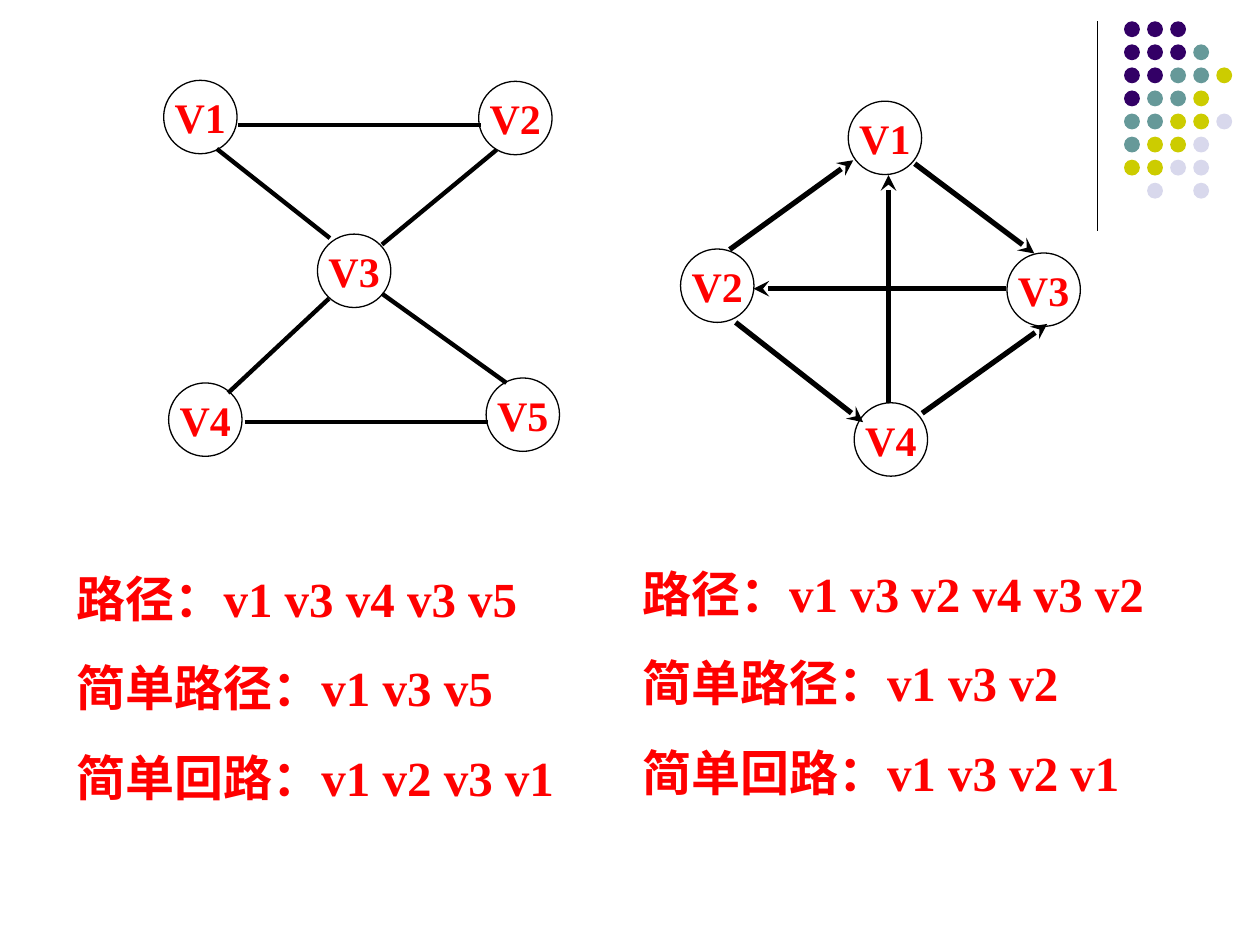
from lxml import etree
from pptx import Presentation
from pptx.dml.color import RGBColor
from pptx.enum import shapes, text
from pptx.oxml import ns
from pptx.util import Cm, Pt

COLORS = {
    "ink": "000000",
    "label": "FF0000",
    "P": "330066",
    "T": "669999",
    "Y": "CCCC00",
    "L": "D8D8EC",
}
FONT = "Times New Roman"


def style_text(para, size):
    para.font.name = FONT
    para.font.size = Pt(size)
    para.font.bold = True
    para.font.color.rgb = RGBColor.from_string(COLORS["label"])


def add_line(page, ends, width, arrow=False):
    line = page.shapes.add_connector(
        shapes.MSO_CONNECTOR.STRAIGHT, *(Cm(value) for value in ends)
    )
    line.line.width = Pt(width)
    line.line.color.rgb = RGBColor.from_string(COLORS["ink"])
    if arrow:
        outline = line.line._get_or_add_ln()
        etree.SubElement(outline, ns.qn("a:tailEnd"), type="stealth")
    etree.SubElement(line._element.spPr, ns.qn("a:effectLst"))


deck = Presentation()
deck.slide_width, deck.slide_height = Cm(25.4), Cm(19.05)
page = deck.slides.add_slide(deck.slide_layouts[6])

# Corner decoration: a rule and a grid of dots, one letter per colour
add_line(page, (22.12, 0.43, 22.12, 4.65), 0.75)
dot_rows = ["PPP", "PPPT", "PPTTY", "PTTY", "TTYYL", "TYYL", "YYLL", " L L"]
dot_size, dot_pitch = Cm(0.32), 0.465
for row, codes in enumerate(dot_rows):
    for column, code in enumerate(codes):
        if code == " ":
            continue
        dot = page.shapes.add_shape(
            shapes.MSO_SHAPE.OVAL,
            Cm(22.66 + column * dot_pitch), Cm(0.43 + row * dot_pitch),
            dot_size, dot_size,
        )
        dot.shadow.inherit = False
        dot.fill.solid()
        dot.fill.fore_color.rgb = RGBColor.from_string(COLORS[code])
        dot.line.fill.background()

# Vertices of the undirected graph, then of the directed graph
vertices = [
    ("V1", 3.3, 1.62), ("V2", 9.65, 1.64), ("V3", 6.4, 4.72),
    ("V4", 3.4, 7.72), ("V5", 9.8, 7.62),
    ("V1", 17.1, 2.04), ("V2", 13.72, 5.02),
    ("V3", 20.3, 5.1), ("V4", 17.22, 8.12),
]
for name, left, top in vertices:
    vertex = page.shapes.add_shape(
        shapes.MSO_SHAPE.FLOWCHART_CONNECTOR, Cm(left), Cm(top), Cm(1.48), Cm(1.48)
    )
    vertex.shadow.inherit = False
    vertex.fill.background()
    vertex.line.width = Pt(0.75)
    vertex.line.color.rgb = RGBColor.from_string(COLORS["ink"])
    frame = vertex.text_frame
    frame.word_wrap = False
    frame.vertical_anchor = text.MSO_ANCHOR.MIDDLE
    para = frame.paragraphs[0]
    para.text = name
    para.alignment = text.PP_ALIGN.CENTER
    style_text(para, 24)

edges = [
    (4.8, 2.52, 9.7, 2.52),      # V1 - V2
    (4.93, 8.51, 9.83, 8.51),    # V4 - V5
    (4.6, 7.92, 6.63, 6.02),     # V4 - V3
    (7.7, 5.92, 10.21, 7.72),    # V3 - V5
    (4.37, 3.0, 6.65, 4.8),      # V1 - V3
    (7.7, 4.93, 10.01, 3.02),    # V3 - V2
]
for edge in edges:
    add_line(page, edge, 2.5)

arcs = [
    (17.91, 8.13, 17.91, 3.53),  # V4 to V1
    (20.27, 5.82, 15.19, 5.82),  # V3 to V2
    (18.44, 3.3, 20.85, 5.11),   # V1 to V3
    (14.83, 6.5, 17.4, 8.51),    # V2 to V4
    (14.71, 5.03, 17.2, 3.23),   # V2 to V1
    (18.59, 8.33, 21.11, 6.53),  # V4 to V3
]
for arc in arcs:
    add_line(page, arc, 3, arrow=True)

# Example paths under each graph
examples = [
    (1.3, 11.33, 10.9,
     ["路径：v1 v3 v4 v3 v5", "简单路径：v1 v3 v5", "简单回路：v1 v2 v3 v1"]),
    (12.7, 11.23, 11.2,
     ["路径：v1 v3 v2 v4 v3 v2", "简单路径：v1 v3 v2", "简单回路：v1 v3 v2 v1"]),
]
for left, top, width, lines in examples:
    box = page.shapes.add_textbox(Cm(left), Cm(top), Cm(width), Cm(5.05))
    frame = box.text_frame
    frame.word_wrap = True
    frame.text = "\n".join(lines)
    for index, para in enumerate(frame.paragraphs):
        style_text(para, 28)
        if index:
            para.space_before = Pt(17.5)

deck.save("out.pptx")
